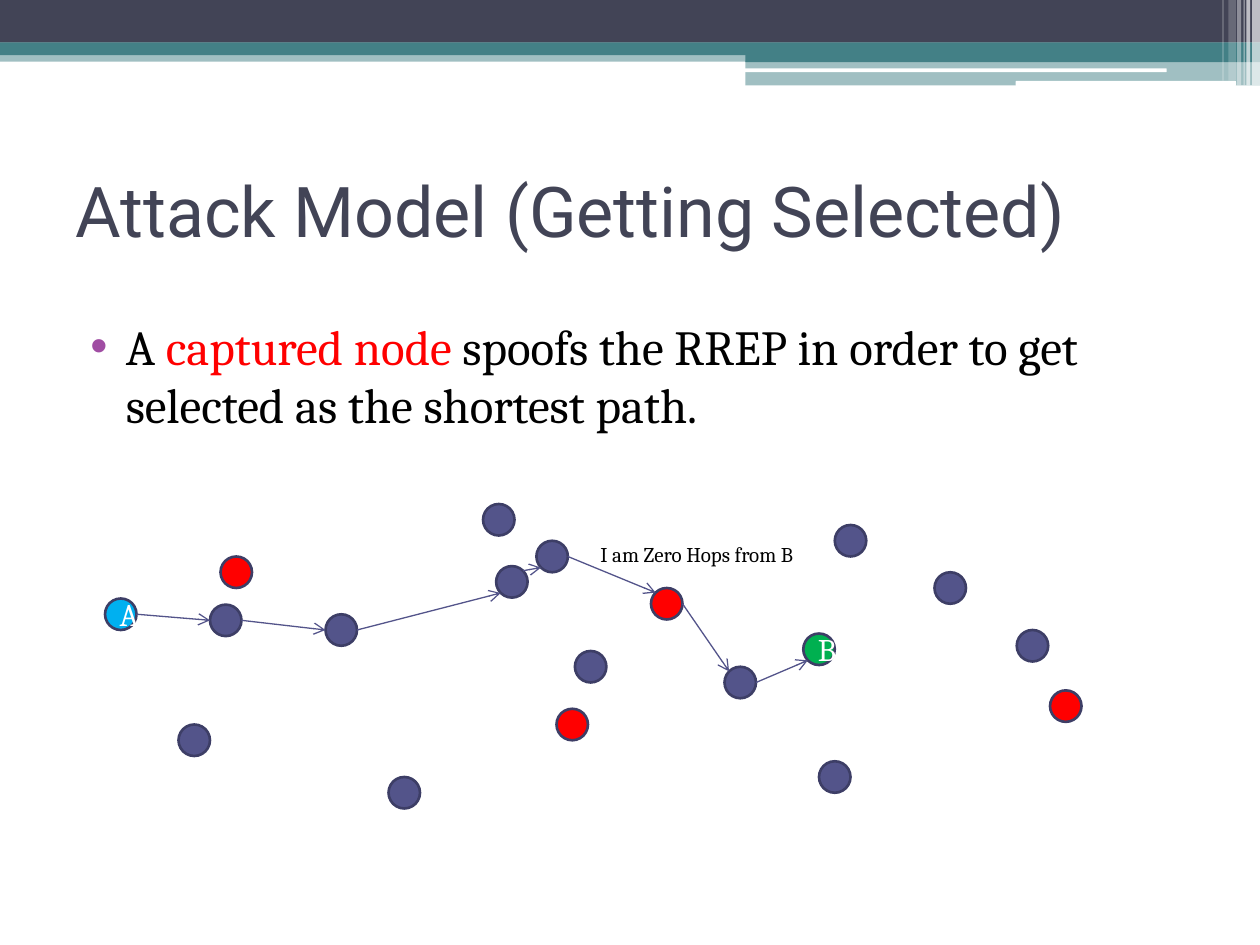
from math import sqrt

from lxml import etree
from pptx import Presentation
from pptx.dml.color import RGBColor
from pptx.enum.shapes import MSO_CONNECTOR, MSO_SHAPE
from pptx.enum.text import MSO_ANCHOR, PP_ALIGN
from pptx.oxml.ns import qn
from pptx.util import Pt

RECT = MSO_SHAPE.RECTANGLE
ROUNDED = MSO_SHAPE.ROUNDED_RECTANGLE
OVAL = MSO_SHAPE.OVAL
STRAIGHT = MSO_CONNECTOR.STRAIGHT
MIDDLE = MSO_ANCHOR.MIDDLE
CENTER = PP_ALIGN.CENTER

COLORS = {
    "slate": "424456", "teal": "438086", "white": "FFFFFF", "black": "000000",
    "node": "53548A", "outline": "3D3E66", "captured": "FF0000",
    "source": "00B0F0", "target": "00B050", "bullet": "A04DA3",
}


def add_filled(kind, left, top, width, height, color):
    """Add a preset shape with a solid fill, no line and no shadow."""
    shape = page.shapes.add_shape(kind, Pt(left), Pt(top), Pt(width), Pt(height))
    shape.shadow.inherit = False
    shape.fill.solid()
    shape.fill.fore_color.rgb = RGBColor.from_string(COLORS[color])
    shape.line.fill.background()
    return shape


def add_text(para, text, font, size, color):
    """Append a formatted span to a paragraph."""
    span = para.add_run()
    span.text = text
    span.font.name = font
    span.font.size = Pt(size)
    span.font.color.rgb = RGBColor.from_string(COLORS[color])


deck = Presentation()
deck.slide_width, deck.slide_height = Pt(720), Pt(540)
page = deck.slides.add_slide(deck.slide_layouts[6])

# Header bands: kind, left, top, width, height, colour, opacity in percent
bands = [
    (RECT, 0, 28.8, 720, 6.5, "teal", 50),
    (RECT, 0, 0, 720, 24.4, "slate", 100),
    (RECT, 0, 24.3, 720, 7.2, "teal", 100),
    (RECT, 426, 28.3, 294, 7.2, "teal", 100),
    (RECT, 426, 34.6, 294, 14.2, "teal", 50),
    (ROUNDED, 425.5, 39.1, 241.2, 2.2, "white", 100),
    (ROUNDED, 580.3, 46.3, 126, 2.9, "white", 100),
    (RECT, 715.5, 0, 4.5, 48.8, "white", 65),
    (RECT, 712.2, 0, 2.2, 48.8, "white", 65),
    (RECT, 710.6, 0, 0.7, 48.8, "white", 60),
    (RECT, 707, 0, 2.2, 48.8, "white", 40),
    (RECT, 702, 0, 4.3, 46.1, "white", 20),
    (RECT, 698.5, 0, 0.7, 46.1, "white", 30),
]
for kind, left, top, width, height, color, opacity in bands:
    band = add_filled(kind, left, top, width, height, color)
    if opacity < 100:
        color_xml = band._element.spPr.find(qn("a:solidFill"))[0]
        etree.SubElement(color_xml, qn("a:alpha"), val=str(opacity * 1000))

# Title
title = page.shapes.add_textbox(Pt(36), Pt(77.8), Pt(648), Pt(84.2))
title.text_frame.word_wrap = True
title.text_frame.vertical_anchor = MIDDLE
add_text(title.text_frame.paragraphs[0], "Attack Model (Getting Selected)",
         "Roboto", 40, "slate")

# Body with a hanging bullet
body = page.shapes.add_textbox(Pt(36), Pt(177.1), Pt(648), Pt(340.6))
body.text_frame.word_wrap = True
para = body.text_frame.paragraphs[0]
para.space_before = Pt(3)
properties = para._p.get_or_add_pPr()
properties.set("marL", str(Pt(28.8)))
properties.set("indent", str(-Pt(20.16)))
bullet_color = etree.SubElement(properties, qn("a:buClr"))
etree.SubElement(bullet_color, qn("a:srgbClr"), val=COLORS["bullet"])
etree.SubElement(properties, qn("a:buFont"), typeface="Arial")
etree.SubElement(properties, qn("a:buChar"), char="•")
for text, color in [
    ("A ", "black"),
    ("captured node ", "captured"),
    ("spoofs the RREP in order to get selected as the shortest path.", "black"),
]:
    add_text(para, text, "Cambria", 28, color)

# Network nodes: left, top, colour; those on the route carry a name
NODE_SIZE = 18
route_nodes = {
    "A": (60, 342, "source"),
    "hop 1": (120, 345.5, "node"),
    "hop 2": (186, 351, "node"),
    "hop 3": (283.5, 323.5, "node"),
    "hop 4": (306.5, 309, "node"),
    "spoofer": (372, 336, "captured"),
    "hop 5": (414, 381, "node"),
    "B": (459, 362, "target"),
}
other_nodes = [
    (102, 414, "node"), (126, 318, "captured"), (222, 444, "node"),
    (276, 288, "node"), (318, 405, "captured"), (328.5, 372, "node"),
    (468, 435, "node"), (477, 300, "node"), (600, 394.5, "captured"),
    (581, 360, "node"), (534, 327, "node"),
]
named = list(route_nodes.items()) + [("", place) for place in other_nodes]
for name, (left, top, color) in named:
    node = add_filled(OVAL, left, top, NODE_SIZE, NODE_SIZE, color)
    node.line.color.rgb = RGBColor.from_string(COLORS["outline"])
    node.line.width = Pt(1.5)
    if name in ("A", "B"):
        node.text_frame.vertical_anchor = MIDDLE
        para = node.text_frame.paragraphs[0]
        para.alignment = CENTER
        add_text(para, name, "Cambria", 18, "white")

# Route arrows run between points on the node circles
DIAGONAL = 1 / sqrt(2)
SITES = {
    "left": (-1, 0), "right": (1, 0),
    "top left": (-DIAGONAL, -DIAGONAL), "top right": (DIAGONAL, -DIAGONAL),
    "bottom left": (-DIAGONAL, DIAGONAL),
}
hops = [
    ("A", "right", "hop 1", "left"),
    ("hop 1", "right", "hop 2", "left"),
    ("hop 2", "right", "hop 3", "bottom left"),
    ("hop 3", "top right", "hop 4", "bottom left"),
    ("hop 4", "right", "spoofer", "top left"),
    ("spoofer", "right", "hop 5", "top left"),
    ("hop 5", "right", "B", "bottom left"),
]
for start, exit_site, end, entry_site in hops:
    ends = []
    for name, site in ((start, exit_site), (end, entry_site)):
        for corner, offset in zip(route_nodes[name][:2], SITES[site]):
            ends.append(Pt(corner + NODE_SIZE / 2 * (1 + offset)))
    arrow = page.shapes.add_connector(STRAIGHT, *ends)
    arrow.line.color.rgb = RGBColor.from_string(COLORS["node"])
    arrow.line.width = Pt(0.75)
    etree.SubElement(arrow.line._get_or_add_ln(), qn("a:tailEnd"), type="arrow")
    etree.SubElement(arrow._element.spPr, qn("a:effectLst"))

# Spoofed reply
reply = page.shapes.add_textbox(Pt(336), Pt(306), Pt(153), Pt(21.8))
reply.text_frame.word_wrap = True
add_text(reply.text_frame.paragraphs[0], "I am Zero Hops from B",
         "Cambria", 12, "black")

deck.save("out.pptx")
